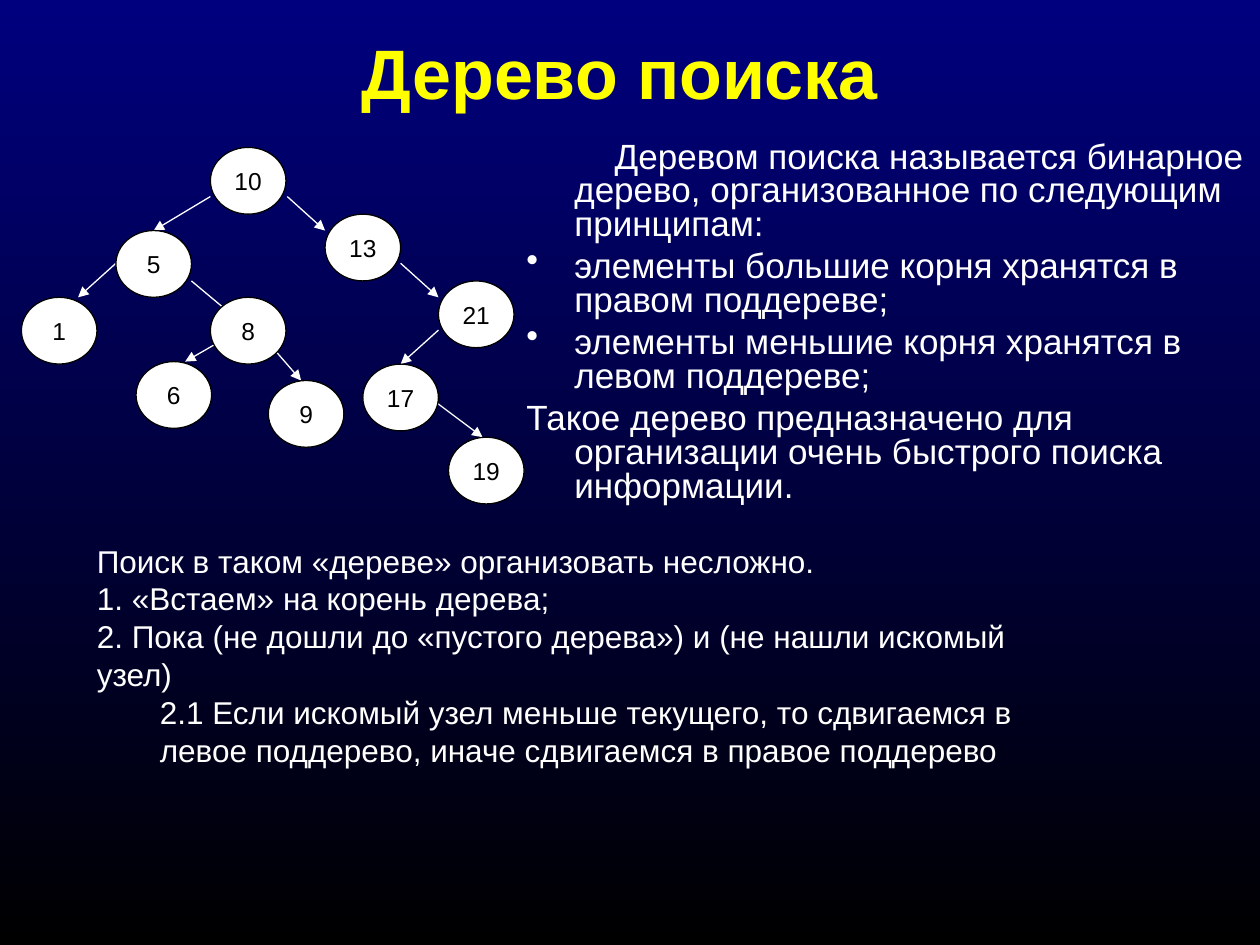
"""Build a slide that explains a binary search tree."""
from lxml import etree
from pptx import Presentation
from pptx.dml.color import RGBColor
from pptx.enum import shapes, text
from pptx.oxml import ns
from pptx.util import Inches, Pt

NAVY = RGBColor(0x00, 0x00, 0x7E)
BLACK = RGBColor(0x00, 0x00, 0x00)
WHITE = RGBColor(0xFF, 0xFF, 0xFF)
YELLOW = RGBColor(0xFF, 0xFF, 0x00)
FONT = "Arial"

TITLE = "Дерево поиска"
HANGING = -0.38
DEFINITION = [
    ("Деревом поиска называется бинарное дерево, организованное по следующим принципам:", 0.32, False),
    ("элементы большие корня хранятся в правом поддереве;", HANGING, True),
    ("элементы меньшие корня хранятся в левом поддереве;", HANGING, True),
    ("Такое дерево предназначено для организации очень быстрого поиска информации.", HANGING, False),
]
SEARCH_STEPS = [
    ("Поиск в таком «дереве» организовать несложно.", 0),
    ("1. «Встаем» на корень дерева;", 0),
    ("2. Пока (не дошли до «пустого дерева») и (не нашли искомый узел)", 0),
    ("2.1 Если искомый узел меньше текущего, то сдвигаемся в левое поддерево, "
     "иначе сдвигаемся в правое поддерево", 0.5),
]

NODE_WIDTH, NODE_HEIGHT = 0.6, 0.53
NODES = {
    10: (1.67, 1.17), 13: (2.58, 1.7), 5: (0.92, 1.83), 1: (0.17, 2.36), 8: (1.67, 2.36),
    17: (2.88, 2.89), 21: (3.48, 2.23), 6: (1.08, 2.87), 19: (3.56, 3.47), 9: (2.13, 3.02),
}
ARROWS = [
    (1.67, 1.56, 1.22, 1.83), (2.28, 1.56, 2.58, 1.83), (0.92, 2.09, 0.62, 2.36),
    (1.52, 2.23, 1.83, 2.49), (3.18, 2.09, 3.48, 2.36), (3.48, 2.62, 3.18, 2.89),
    (1.73, 2.72, 1.47, 2.87), (2.13, 2.72, 2.39, 3.02), (3.43, 3.17, 3.83, 3.47),
]


def style(paragraph, size, color, bold=False):
    font = paragraph.font
    font.name, font.size, font.bold = FONT, Pt(size), bold
    font.color.rgb = color


def add_text_box(slide, left, top, width, height):
    box = slide.shapes.add_textbox(*map(Inches, (left, top, width, height)))
    box.text_frame.word_wrap = True
    return box.text_frame


def add_paragraph(frame, index, words):
    paragraph = frame.add_paragraph() if index else frame.paragraphs[0]
    paragraph.text = words
    return paragraph


def indent(paragraph, margin, first_line=0):
    properties = paragraph._p.get_or_add_pPr()
    properties.set("marL", str(Inches(margin)))
    properties.set("indent", str(Inches(first_line)))
    return properties


def add_title(slide):
    frame = add_text_box(slide, 0.42, 0.3, 9, 0.53)
    frame.vertical_anchor = text.MSO_ANCHOR.MIDDLE
    paragraph = add_paragraph(frame, 0, TITLE)
    paragraph.alignment = text.PP_ALIGN.CENTER
    style(paragraph, 40, YELLOW, bold=True)


def add_definition(slide):
    frame = add_text_box(slide, 4.08, 1.08, 5.92, 3.25)
    for index, (words, first_line, bulleted) in enumerate(DEFINITION):
        paragraph = add_paragraph(frame, index, words)
        paragraph.line_spacing = 0.8
        if index:
            paragraph.space_before = Pt(5)
        properties = indent(paragraph, -HANGING, first_line)
        if bulleted:
            etree.SubElement(properties, ns.qn("a:buChar")).set("char", "•")
        style(paragraph, 20, WHITE)


def add_search_steps(slide):
    frame = add_text_box(slide, 0.67, 4.25, 7.5, 1.9)
    for index, (words, margin) in enumerate(SEARCH_STEPS):
        paragraph = add_paragraph(frame, index, words)
        indent(paragraph, margin)
        style(paragraph, 18, WHITE)


def add_arrow(slide, ends):
    arrow = slide.shapes.add_connector(shapes.MSO_CONNECTOR.STRAIGHT, *map(Inches, ends))
    arrow.line.color.rgb = WHITE
    arrow.line.width = Pt(0.75)
    line = arrow.line._get_or_add_ln()
    etree.SubElement(line, ns.qn("a:tailEnd")).set("type", "triangle")
    etree.SubElement(arrow._element.spPr, ns.qn("a:effectLst"))


def add_node(slide, key, left, top):
    node = slide.shapes.add_shape(
        shapes.MSO_SHAPE.OVAL, *map(Inches, (left, top, NODE_WIDTH, NODE_HEIGHT)))
    node.shadow.inherit = False
    node.fill.solid()
    node.fill.fore_color.rgb = WHITE
    node.line.color.rgb = BLACK
    node.line.width = Pt(0.75)
    paragraph = add_paragraph(node.text_frame, 0, str(key))
    paragraph.alignment = text.PP_ALIGN.CENTER
    style(paragraph, 14, BLACK)


def main():
    presentation = Presentation()
    presentation.slide_width, presentation.slide_height = Inches(10), Inches(7.5)
    slide = presentation.slides.add_slide(presentation.slide_layouts[6])

    background = slide.background.fill
    background.gradient()
    background.gradient_angle = 270
    for stop, position, color in zip(background.gradient_stops, (0, 1), (NAVY, BLACK)):
        stop.position = position
        stop.color.rgb = color

    add_title(slide)
    add_definition(slide)
    for ends in ARROWS:
        add_arrow(slide, ends)
    for key, (left, top) in NODES.items():
        add_node(slide, key, left, top)
    add_search_steps(slide)
    presentation.save("out.pptx")


if __name__ == "__main__":
    main()
